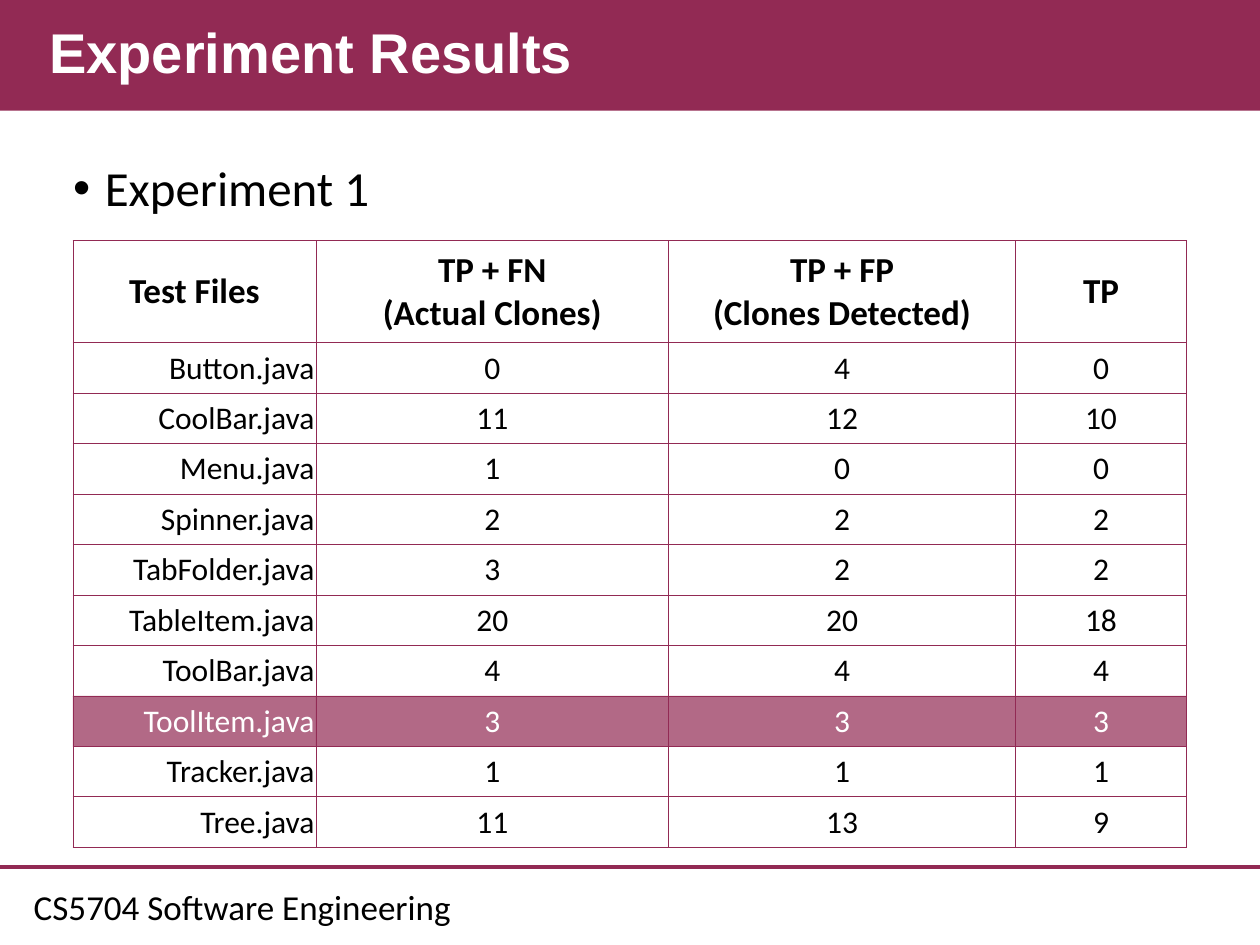
import dataclasses

import pptx
import pptx.dml.color
import pptx.enum.shapes
import pptx.enum.text
import pptx.oxml
import pptx.oxml.ns
import pptx.util

Cm = pptx.util.Cm
Pt = pptx.util.Pt
ALIGN = pptx.enum.text.PP_ALIGN
MIDDLE = pptx.enum.text.MSO_ANCHOR.MIDDLE
NS = pptx.oxml.ns.nsdecls("a")

HEADER = ["Test Files", "TP + FN\n(Actual Clones)", "TP + FP\n(Clones Detected)", "TP"]
RESULTS = [
    ("Button.java", 0, 4, 0),
    ("CoolBar.java", 11, 12, 10),
    ("Menu.java", 1, 0, 0),
    ("Spinner.java", 2, 2, 2),
    ("TabFolder.java", 3, 2, 2),
    ("TableItem.java", 20, 20, 18),
    ("ToolBar.java", 4, 4, 4),
    ("ToolItem.java", 3, 3, 3),
    ("Tracker.java", 1, 1, 1),
    ("Tree.java", 11, 13, 9),
]
COLUMN_WIDTHS = [4.9, 7.11, 6.99, 3.45]
HIGHLIGHT = "ToolItem.java"


@dataclasses.dataclass
class Theme:
    """Colours, fonts and type sizes of the slide."""

    accent: str = "922A54"
    dark: str = "000000"
    light: str = "FFFFFF"
    title_font: str = "Arial"
    body_font: str = "Calibri"
    title_size: float = 32
    bullet_size: float = 28
    header_size: float = 20
    cell_size: float = 18
    rule_width: float = 2.25
    border_width: float = 0.45
    highlight_alpha: int = 70


class SlideBuilder:
    """Draws styled elements on the current slide."""

    def __init__(self, slide, theme):
        """Keep the slide and its theme."""
        self.s = slide
        self.theme = theme

    def rgb(self, colour):
        """Turn a hex string into a colour."""
        return pptx.dml.color.RGBColor.from_string(colour)

    def format_text(self, tf, size, colour, font=None, bold=False, align=ALIGN.LEFT):
        """Apply one style to every run of a text frame."""
        for p in tf.paragraphs:
            p.alignment = align
            for r in p.runs:
                r.font.name = font or self.theme.body_font
                r.font.size = Pt(size)
                r.font.bold = bold
                r.font.color.rgb = self.rgb(colour)

    def place(self, sp, left, top, width, height):
        """Move and size a shape in centimetres."""
        sp.left, sp.top, sp.width, sp.height = map(Cm, (left, top, width, height))

    def band(self, left, top, width, height):
        """Draw the title band behind everything else."""
        sp = self.s.shapes.add_shape(
            pptx.enum.shapes.MSO_SHAPE.RECTANGLE, *map(Cm, (left, top, width, height)))
        sp.shadow.inherit = False
        sp.fill.solid()
        sp.fill.fore_color.rgb = self.rgb(self.theme.accent)
        sp.line.fill.background()
        self.s.shapes._spTree.insert(2, sp._element)

    def rule(self, left, top, width):
        """Draw a horizontal rule."""
        line = self.s.shapes.add_connector(
            pptx.enum.shapes.MSO_CONNECTOR.STRAIGHT,
            Cm(left), Cm(top), Cm(left + width), Cm(top))
        line.line.color.rgb = self.rgb(self.theme.accent)
        line.line.width = Pt(self.theme.rule_width)
        line._element.spPr.append(pptx.oxml.parse_xml(f"<a:effectLst {NS}/>"))

    def title(self, text, *box):
        """Fill the title placeholder."""
        sp = self.s.shapes.title
        self.place(sp, *box)
        tf = sp.text_frame
        tf.text = text
        tf.vertical_anchor = MIDDLE
        tf.auto_size = pptx.enum.text.MSO_AUTO_SIZE.NONE
        tf.paragraphs[0].line_spacing = 0.9
        self.format_text(tf, self.theme.title_size, self.theme.light,
                         self.theme.title_font, bold=True)

    def bullet(self, text, *box):
        """Fill the body placeholder with one bullet."""
        sp = self.s.placeholders[1]
        self.place(sp, *box)
        tf = sp.text_frame
        tf.text = text
        tf.auto_size = pptx.enum.text.MSO_AUTO_SIZE.NONE
        p = tf.paragraphs[0]
        pPr = p._p.get_or_add_pPr()
        pPr.set("marL", str(Cm(0.64)))
        pPr.set("indent", str(-Cm(0.64)))
        pPr.append(pptx.oxml.parse_xml(f'<a:buFont {NS} typeface="Arial"/>'))
        pPr.append(pptx.oxml.parse_xml(f'<a:buChar {NS} char="•"/>'))
        p.line_spacing = 0.9
        p.space_before = Pt(0)
        self.format_text(tf, self.theme.bullet_size, self.theme.dark)

    def footer(self, text, *box):
        """Add the course name at the foot."""
        tf = self.s.shapes.add_textbox(*map(Cm, box)).text_frame
        tf.word_wrap = True
        tf.text = text
        self.format_text(tf, self.theme.header_size, self.theme.dark)

    def border(self, cell):
        """Draw the four borders of a cell."""
        tcPr = cell._tc.get_or_add_tcPr()
        for side in "LRTB":
            tcPr.append(pptx.oxml.parse_xml(
                f'<a:ln{side} {NS} w="{Pt(self.theme.border_width)}"><a:solidFill>'
                f'<a:srgbClr val="{self.theme.accent}"/></a:solidFill></a:ln{side}>'))

    def shade(self, cell, highlighted):
        """Fill a highlighted cell and leave any other clear."""
        if not highlighted:
            cell.fill.background()
            return
        cell.fill.solid()
        cell.fill.fore_color.rgb = self.rgb(self.theme.accent)
        clr = cell._tc.tcPr.find(".//" + pptx.oxml.ns.qn("a:solidFill") + "[last()]")
        clr = cell._tc.tcPr.find(pptx.oxml.ns.qn("a:solidFill"))[0]
        clr.append(pptx.oxml.parse_xml(
            f'<a:alpha {NS} val="{self.theme.highlight_alpha * 1000}"/>'))

    def table(self, header, rows, widths, left, top, header_height, row_height):
        """Add the results table."""
        height = header_height + row_height * len(rows)
        table = self.s.shapes.add_table(
            len(rows) + 1, len(header), Cm(left), Cm(top), Cm(sum(widths)), Cm(height)).table
        table.first_row = table.horz_banding = False
        for column, width in zip(table.columns, widths):
            column.width = Cm(width)
        for i, values in enumerate([header, *rows]):
            table.rows[i].height = Cm(row_height if i else header_height)
            highlighted = values[0] == HIGHLIGHT
            for j, value in enumerate(values):
                cell = table.cell(i, j)
                cell.text = str(value)
                cell.vertical_anchor = MIDDLE
                cell.margin_left = cell.margin_right = Cm(0.03)
                self.border(cell)
                self.shade(cell, highlighted)
                self.format_text(
                    cell.text_frame,
                    self.theme.cell_size if i else self.theme.header_size,
                    self.theme.light if highlighted else self.theme.dark,
                    bold=i == 0,
                    align=ALIGN.RIGHT if i and j == 0 else ALIGN.CENTER)


def main():
    """Build and save the slide."""
    prs = pptx.Presentation()
    prs.slide_width, prs.slide_height = Cm(25.4), Cm(19.05)
    s = SlideBuilder(prs.slides.add_slide(prs.slide_layouts[1]), Theme())
    s.band(0, 0, 25.4, 2.23)
    s.rule(0, 17.47, 25.4)
    s.footer("CS5704 Software Engineering", 0.43, 17.73, 12.27, 1.12)
    s.title("Experiment Results", 0.74, 0, 24.66, 2.23)
    s.bullet("Experiment 1", 1.22, 3.18, 22.96, 13.67)
    s.table(HEADER, RESULTS, COLUMN_WIDTHS, 1.47, 4.85, 2.06, 0.99)
    prs.save("out.pptx")


if __name__ == "__main__":
    main()
